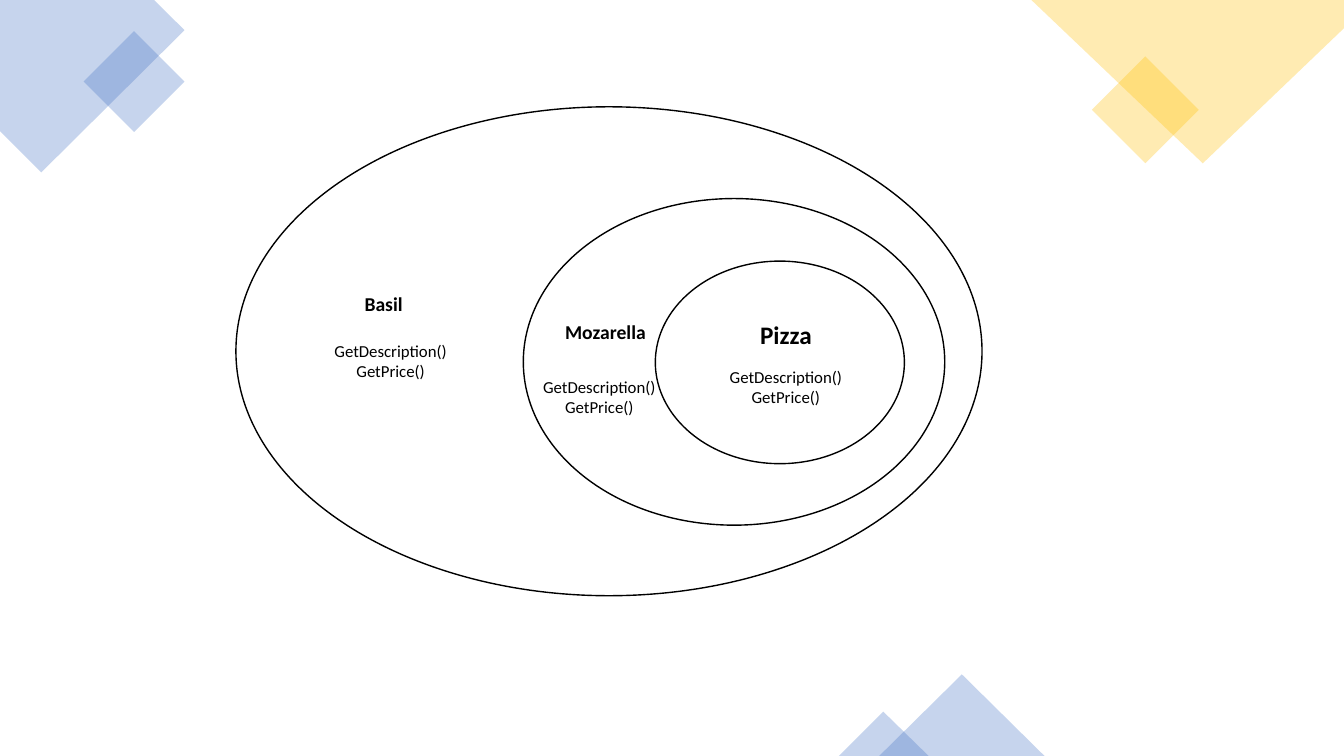
import pptx
import pptx.dml.color
import pptx.enum.shapes
import pptx.enum.text
import pptx.oxml
import pptx.oxml.ns
import pptx.util

Inches = pptx.util.Inches
Pt = pptx.util.Pt
BLUE = pptx.dml.color.RGBColor(0x44, 0x72, 0xC4)
GOLD = pptx.dml.color.RGBColor(0xFF, 0xC0, 0x00)
BLACK = pptx.dml.color.RGBColor(0x00, 0x00, 0x00)
FONT = "Calibri"


def write_text(para, text, size=12, bold=False, color=BLACK):
    para.alignment = pptx.enum.text.PP_ALIGN.CENTER
    span = para.add_run()
    span.text = text
    span.font.name = FONT
    span.font.size = Pt(size)
    span.font.bold = bold
    span.font.color.rgb = color


class Page:
    """Holds the style and the current slide."""

    opacity = 30
    line_width = Pt(1)

    def __init__(self, deck):
        self.shapes = deck.slides.add_slide(deck.slide_layouts[6]).shapes

    def tint(self, shape, color):
        shape.shadow.inherit = False
        shape.line.fill.background()
        shape.fill.solid()
        shape.fill.fore_color.rgb = color
        color_element = shape.fill._xPr.find(".//" + pptx.oxml.ns.qn("a:srgbClr"))
        alpha = pptx.oxml.parse_xml(
            f'<a:alpha {pptx.oxml.ns.nsdecls("a")} val="{self.opacity * 1000}"/>')
        color_element.append(alpha)

    def polygon(self, corners, color):
        points = [(Inches(x), Inches(y)) for x, y in corners]
        builder = self.shapes.build_freeform(*points[0], scale=1.0)
        builder.add_line_segments(points[1:], close=True)
        self.tint(builder.convert_to_shape(), color)

    def diamond(self, center_x, center_y, radius, color):
        shape = self.shapes.add_shape(
            pptx.enum.shapes.MSO_SHAPE.DIAMOND,
            Inches(center_x - radius), Inches(center_y - radius),
            Inches(2 * radius), Inches(2 * radius))
        self.tint(shape, color)

    def ellipse(self, left, top, width, height):
        shape = self.shapes.add_shape(
            pptx.enum.shapes.MSO_SHAPE.OVAL,
            Inches(left), Inches(top), Inches(width), Inches(height))
        shape.shadow.inherit = False
        shape.fill.background()
        shape.line.color.rgb = BLACK
        shape.line.width = self.line_width

    def label(self, left, top, width, height, lines, **text_format):
        box = self.shapes.add_textbox(
            Inches(left), Inches(top), Inches(width), Inches(height))
        frame = box.text_frame
        frame.word_wrap = False
        for index, line in enumerate(lines):
            para = frame.add_paragraph() if index else frame.paragraphs[0]
            write_text(para, line, **text_format)


def main():
    deck = pptx.Presentation()
    deck.slide_width = Inches(13.33)
    deck.slide_height = Inches(7.5)
    page = Page(deck)

    # Corner decoration
    page.polygon([(0, 0), (1.53, 0), (1.83, 0.3), (0.41, 1.71), (0, 1.3)], BLUE)
    page.diamond(1.33, 0.81, 0.5, BLUE)
    page.diamond(11.36, 1.09, 0.53, GOLD)
    page.polygon([(10.23, 0), (13.33, 0), (13.33, 0.28), (11.93, 1.62)], GOLD)
    page.polygon([(8.72, 7.5), (9.54, 6.69), (10.36, 7.5)], BLUE)
    page.polygon([(8.32, 7.5), (8.76, 7.06), (9.21, 7.5)], BLUE)

    # Nested wrappers
    page.ellipse(5.19, 1.97, 4.18, 3.24)
    page.ellipse(2.34, 1.06, 7.4, 4.85)
    page.ellipse(6.5, 2.59, 2.47, 2.01)

    # Class names
    page.label(7.41, 3.12, 0.77, 0.41, ["Pizza"], size=18, bold=True)
    page.label(5.5, 3.12, 1.01, 0.34, ["Mozarella"], size=14, bold=True)
    page.label(3.3, 2.85, 1.01, 0.34, ["Basil"], size=14, bold=True)

    # Methods of each class
    for left, top in [(3.05, 3.33), (5.12, 3.69), (6.97, 3.59)]:
        page.label(left, top, 1.65, 0.5, ["GetDescription()", "GetPrice()"])

    deck.save("out.pptx")


if __name__ == "__main__":
    main()
